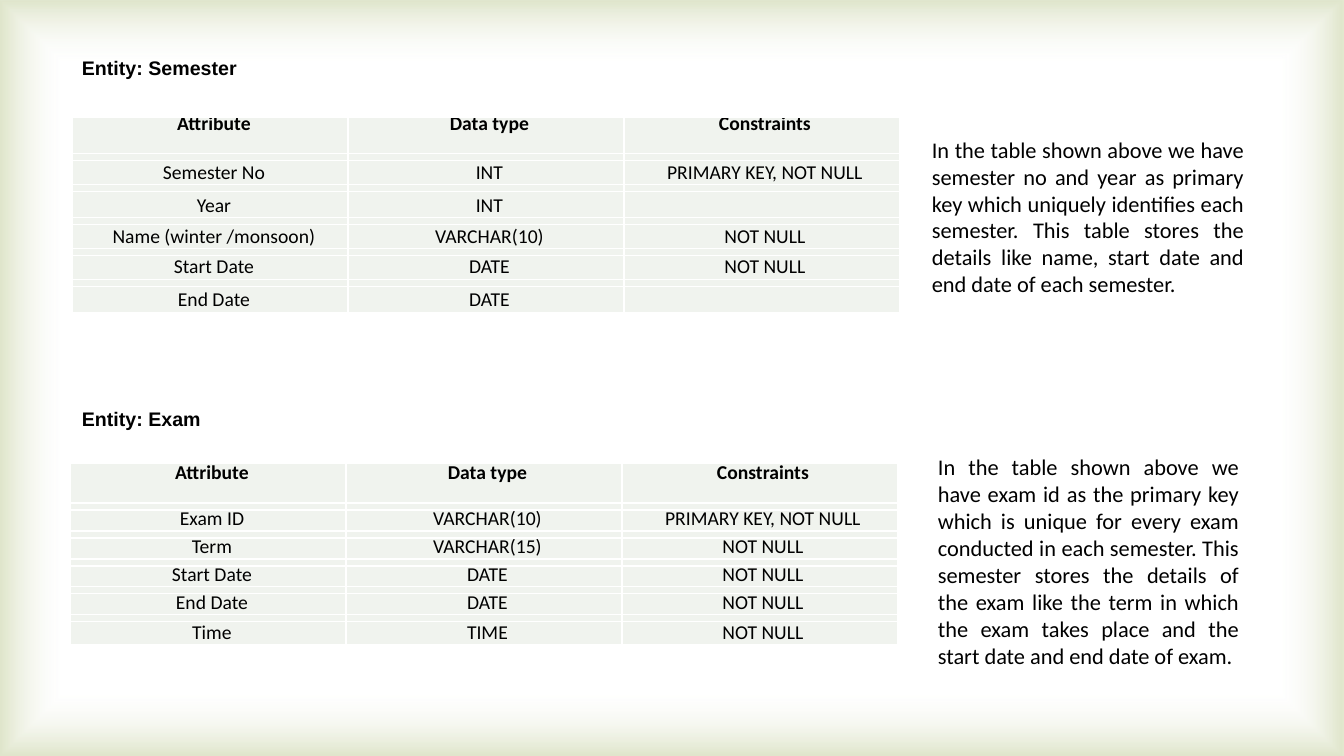
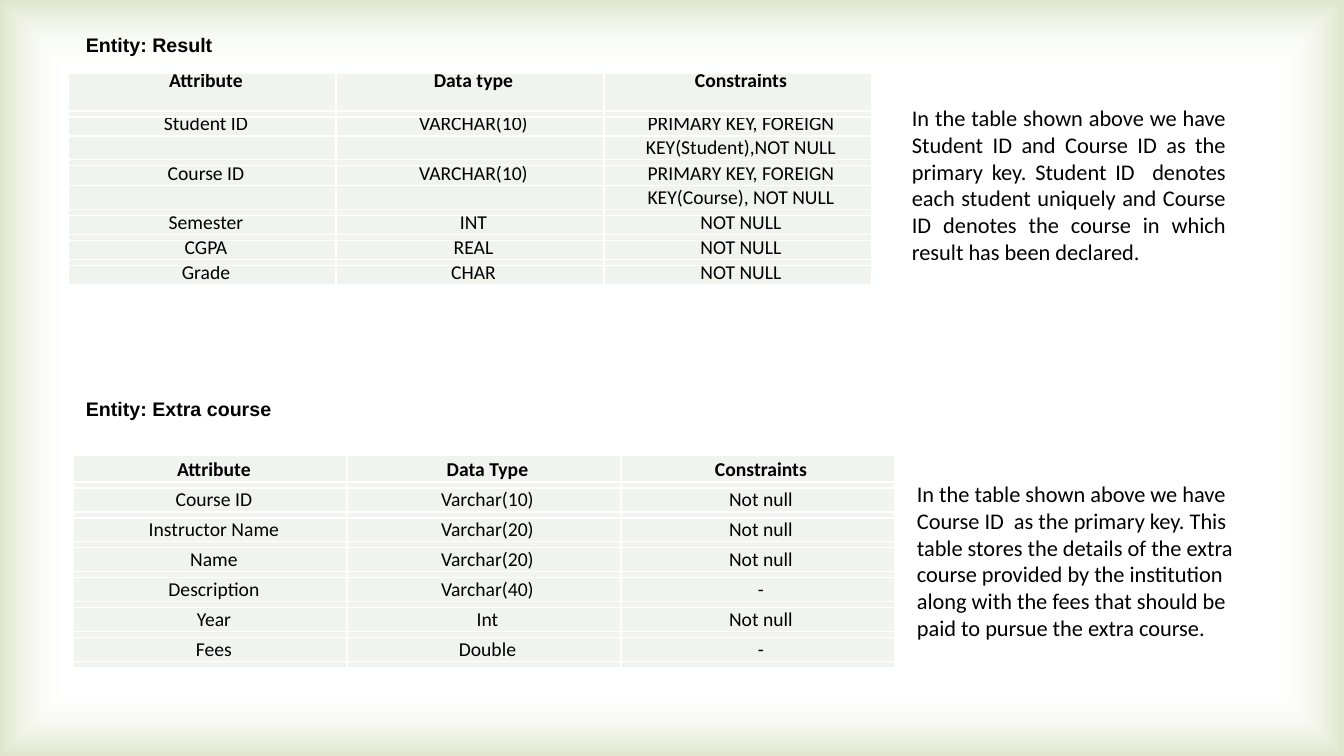
"""Builds two slides that describe the entities of an exam database."""
from pptx import Presentation
from pptx.dml.color import RGBColor
from pptx.enum.shapes import MSO_SHAPE
from pptx.enum.text import MSO_ANCHOR, PP_ALIGN
from pptx.oxml import parse_xml
from pptx.oxml.ns import nsdecls, qn
from pptx.util import Emu, Pt

WIDTH, HEIGHT = 1344, 756
WHITE, BLACK, CELL, EDGE = "FFFFFF", "000000", "F0F3EE", "DFE5CA"
INDENTS = (8, 7, 6)


def px(*lengths):
    """Turn pixel lengths into a list of EMU lengths."""
    return [Emu(round(length * 12192000 / WIDTH)) for length in lengths]


def style(paragraph, size, font_name="Calibri", bold=False, align=PP_ALIGN.LEFT, color=BLACK):
    """Set font and alignment of a paragraph."""
    paragraph.alignment = align
    paragraph.font.name = font_name
    paragraph.font.size = Pt(size)
    paragraph.font.bold = bold
    paragraph.font.color.rgb = RGBColor.from_string(color)


SLIDES = [
    [
        {
            "title": "Entity: Semester", "title_at": (72, 51),
            "table_at": (72, 117), "column": 276, "header": 36, "header_bottom": 18, "gap": 7,
            "rows": [
                [36, "Attribute", "Data type", "Constraints"],
                [24, "Semester No", "INT", "PRIMARY KEY, NOT NULL"],
                [26, "Year", "INT", ""],
                [24, "Name (winter /monsoon)", "VARCHAR(10)", "NOT NULL"],
                [24, "Start Date", "DATE", "NOT NULL"],
                [26, "End Date", "DATE", ""],
            ],
            "note_at": (922, 130, 332, 173), "align": PP_ALIGN.JUSTIFY,
            "note": "In the table shown above we have semester no and year as primary key which "
                    "uniquely identifies each semester. This table stores the details like name, "
                    "start date and end date of each semester.",
        },
        {
            "title": "Entity: Exam", "title_at": (72, 402),
            "table_at": (70, 463), "column": 276, "header_bottom": 18, "gap": 7,
            "rows": [
                [40, "Attribute", "Data type", "Constraints"],
                [21, "Exam ID", "VARCHAR(10)", "PRIMARY KEY, NOT NULL"],
                [21, "Term", "VARCHAR(15)", "NOT NULL"],
                [21, "Start Date", "DATE", "NOT NULL"],
                [21, "End Date", "DATE", "NOT NULL"],
                [23, "Time", "TIME", "NOT NULL"],
            ],
            "note_at": (928, 447, 321, 228), "align": PP_ALIGN.JUSTIFY,
            "note": "In the table shown above we have exam id as the primary key which is unique "
                    "for every exam conducted in each semester. This semester stores the details "
                    "of the exam like the term in which the exam takes place and the start date "
                    "and end date of exam.",
        },
    ],
    [
        {
            "title": "Entity: Result", "title_at": (76, 28),
            "table_at": (68, 73), "column": 268, "header_bottom": 18, "gap": 6,
            "rows": [
                [38, "Attribute", "Data type", "Constraints"],
                [19, "Student ID", "VARCHAR(10)", "PRIMARY KEY, FOREIGN"],
                [24, "", "", "KEY(Student),NOT NULL"],
                [20, "Course ID", "VARCHAR(10)", "PRIMARY KEY, FOREIGN"],
                [24, "", "", "KEY(Course), NOT NULL"],
                [19, "Semester", "INT", "NOT NULL"],
                [19, "CGPA", "REAL", "NOT NULL"],
                [19, "Grade", "CHAR", "NOT NULL"],
            ],
            "note_at": (902, 98, 334, 173), "align": PP_ALIGN.JUSTIFY,
            "note": "In the table shown above we have Student ID and Course ID as the primary key. "
                    "Student ID  denotes each student uniquely and Course ID denotes the course in "
                    "which result has been declared.",
        },
        {
            "title": "Entity: Extra course", "title_at": (76, 392),
            "table_at": (73, 455), "column": 274, "header_bottom": 0, "gap": 6, "last_gap": True,
            "rows": [
                [27, "Attribute", "Data Type", "Constraints"],
                [24, "Course ID", "Varchar(10)", "Not null"],
                [24, "Instructor Name", "Varchar(20)", "Not null"],
                [24, "Name", "Varchar(20)", "Not null"],
                [24, "Description", "Varchar(40)", "-"],
                [24, "Year", "Int", "Not null"],
                [24, "Fees", "Double", "-"],
            ],
            "note_at": (907, 474, 339, 173), "align": PP_ALIGN.LEFT,
            "note": "In the table shown above we have Course ID  as the primary key. This table "
                    "stores the details of the extra course provided by the institution along "
                    "with the fees that should be paid to pursue the extra course.",
        },
    ],
]

presentation = Presentation()
presentation.slide_width, presentation.slide_height = px(WIDTH, HEIGHT)
master = presentation.slide_master

for number, entities in enumerate(SLIDES):
    slide = presentation.slides.add_slide(presentation.slide_layouts[6])

    if number == 0:
        glow = slide.shapes.add_shape(MSO_SHAPE.RECTANGLE, *px(0, 0, WIDTH, HEIGHT))
        glow.shadow.inherit = False
        glow.line.fill.background()
        glow.fill.background()
        properties = glow.element.spPr
        properties.replace(properties.find(qn("a:noFill")), parse_xml(
            f'<a:gradFill {nsdecls("a")}><a:gsLst>'
            f'<a:gs pos="83000"><a:srgbClr val="{WHITE}"><a:alpha val="11000"/></a:srgbClr></a:gs>'
            f'<a:gs pos="100000"><a:srgbClr val="{EDGE}"/></a:gs></a:gsLst>'
            '<a:path path="rect"><a:fillToRect l="50000" t="50000" r="50000" b="50000"/></a:path>'
            '</a:gradFill>'))
        glow.element.nvSpPr.cNvPr.set("id", "20")
        master.shapes.element.insert(2, glow.element)

    for entity in entities:
        title = slide.shapes.add_textbox(*px(*entity["title_at"], 220, 34))
        title.text_frame.word_wrap = True
        title.text_frame.text = entity["title"]
        style(title.text_frame.paragraphs[0], 14, "Arial", bold=True)

        rows = []
        for row in entity["rows"]:
            if rows and row[1]:
                rows.append([entity["gap"], "", "", ""])
            rows.append(row)
        if entity.get("last_gap"):
            rows.append([entity["gap"], "", "", ""])

        size = (3 * entity["column"], sum(row[0] for row in rows))
        table = slide.shapes.add_table(len(rows), 3, *px(*entity["table_at"], *size)).table
        table.first_row = table.horz_banding = False
        for column in table.columns:
            column.width = px(entity["column"])[0]
        for row_index, (height, *texts) in enumerate(rows):
            table.rows[row_index].height = px(height)[0]
            is_header = row_index == 0
            for column_index, text in enumerate(texts):
                cell = table.cell(row_index, column_index)
                bottom = entity["header_bottom"] if is_header else 0
                cell.margin_left, cell.margin_bottom = px(INDENTS[column_index], bottom)
                cell.margin_right = cell.margin_top = 0
                cell.vertical_anchor = MSO_ANCHOR.BOTTOM
                for side in ("lnL", "lnR", "lnT", "lnB"):
                    cell._tc.get_or_add_tcPr().append(parse_xml(
                        f'<a:{side} {nsdecls("a")} w="12700"><a:solidFill>'
                        f'<a:srgbClr val="{WHITE}"/></a:solidFill></a:{side}>'))
                cell.fill.solid()
                cell.fill.fore_color.rgb = RGBColor.from_string(CELL)
                paragraph = cell.text_frame.paragraphs[0]
                if text:
                    paragraph.text = text
                    paragraph.line_spacing = Pt(13.1 if is_header else 12.1)
                    style(paragraph, 14, bold=is_header, align=PP_ALIGN.CENTER)
                else:
                    paragraph.line_spacing = Pt(3)
                    style(paragraph, 1)

        note = slide.shapes.add_shape(MSO_SHAPE.RECTANGLE, *px(*entity["note_at"]))
        note.shadow.inherit = False
        note.fill.background()
        note.line.color.rgb = RGBColor.from_string(WHITE)
        note.line.width = Pt(0.75)
        note.text_frame.word_wrap = True
        note.text_frame.vertical_anchor = MSO_ANCHOR.MIDDLE
        note.text_frame.text = entity["note"]
        style(note.text_frame.paragraphs[0], 16, align=entity["align"])

presentation.save("out.pptx")
